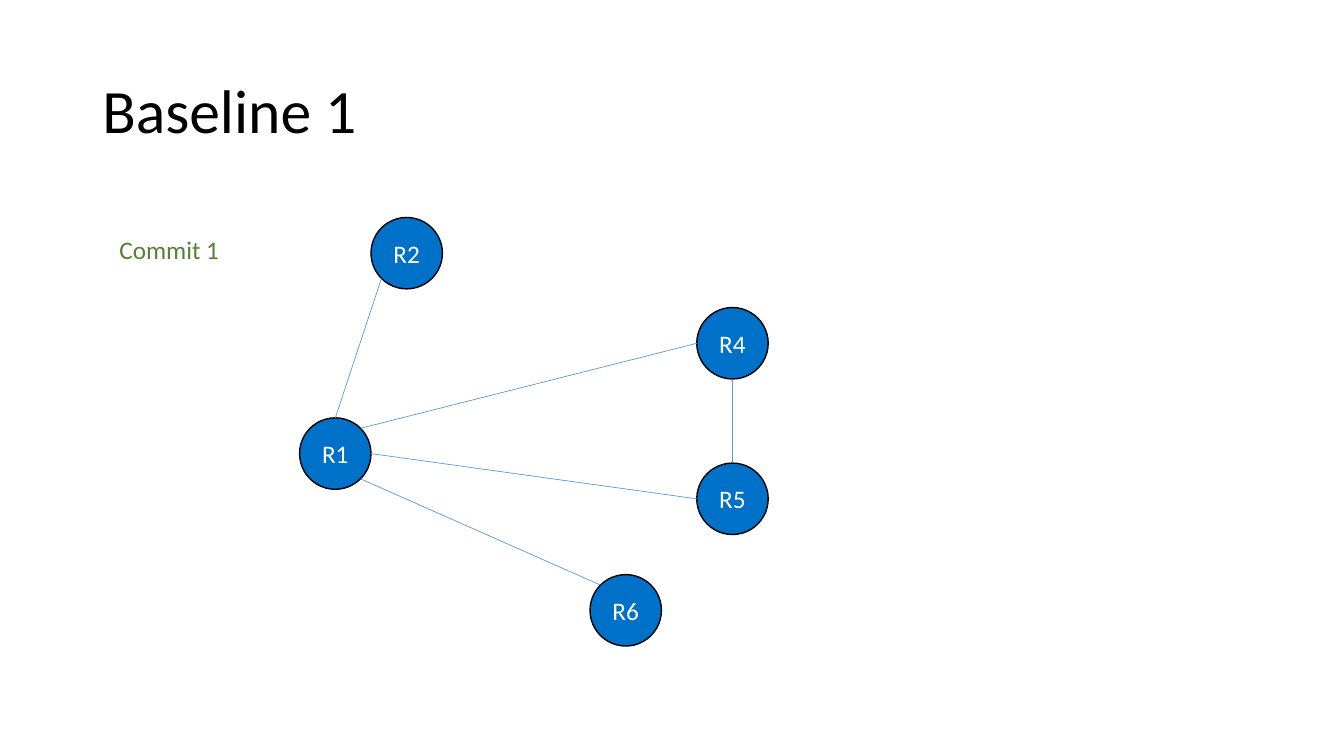
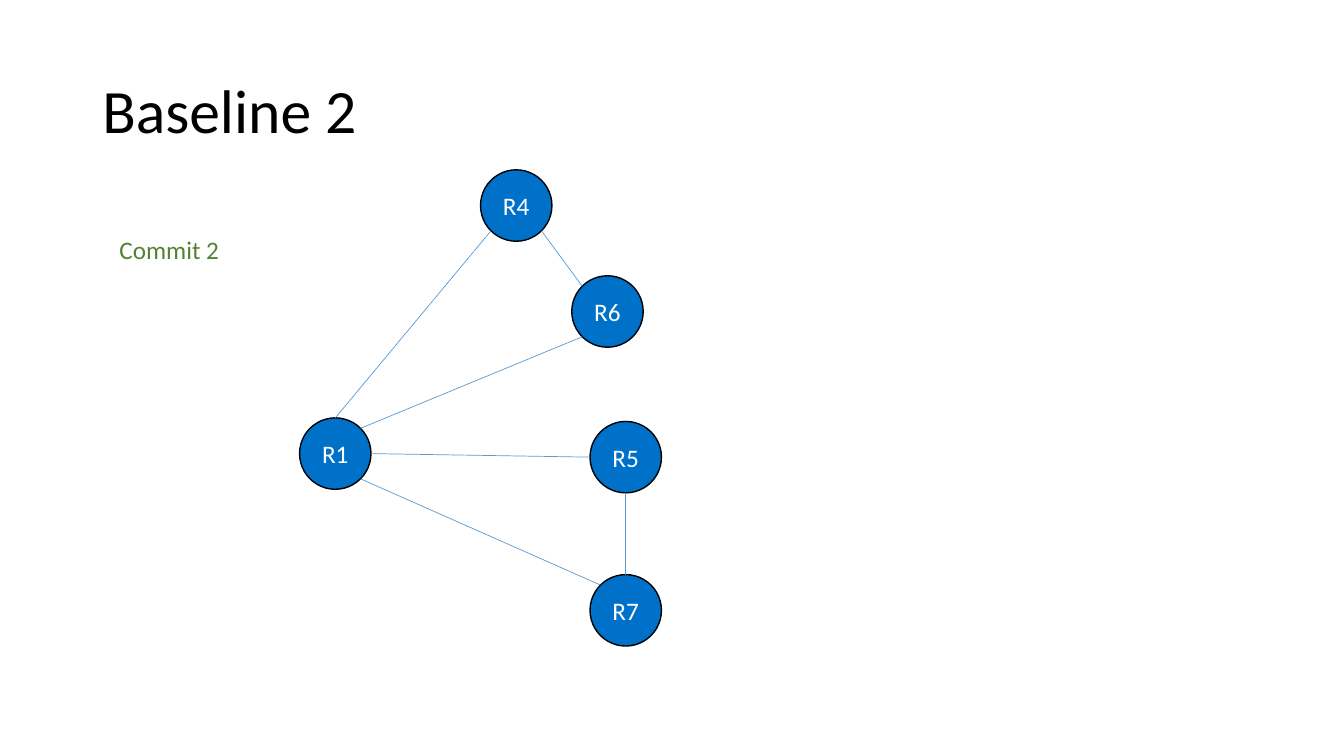
from dataclasses import dataclass
from enum import IntEnum
from math import cos, pi, sin

from lxml import etree
from pptx import Presentation
from pptx.dml.color import RGBColor
from pptx.enum import shapes, text
from pptx.oxml.ns import qn
from pptx.util import Cm, Pt


@dataclass(frozen=True)
class Theme:
    font: str = "Calibri"
    title_size: int = 44
    body_size: int = 18
    title: str = "000000"
    commit: str = "548235"
    node: str = "0071C8"
    outline: str = "000000"
    label: str = "FFFFFF"
    link: str = "5B9BD5"


class Site(IntEnum):
    """Connection sites of an ellipse, counter-clockwise from the top."""
    TOP = 0
    TOP_LEFT = 1
    LEFT = 2
    BOTTOM_LEFT = 3
    BOTTOM = 4
    BOTTOM_RIGHT = 5
    RIGHT = 6
    TOP_RIGHT = 7


THEME = Theme()
DIAMETER = 1.8

# Nodes: name -> left, top in cm. Links: node, site, node, site.
BASELINES = [
    {
        "title": "Baseline 1",
        "commit": "Commit 1",
        "nodes": {
            "R1": (7.55, 10.53), "R2": (9.35, 5.48), "R4": (17.56, 7.75),
            "R5": (17.56, 11.67), "R6": (14.87, 14.48),
        },
        "links": [
            ("R2", Site.BOTTOM_LEFT, "R1", Site.TOP),
            ("R1", Site.TOP_RIGHT, "R4", Site.LEFT),
            ("R4", Site.BOTTOM, "R5", Site.TOP),
            ("R5", Site.LEFT, "R1", Site.RIGHT),
            ("R1", Site.BOTTOM_RIGHT, "R6", Site.TOP_LEFT),
        ],
    },
    {
        "title": "Baseline 2",
        "commit": "Commit 2",
        "nodes": {
            "R1": (7.55, 10.53), "R4": (12.11, 4.28), "R6": (14.41, 6.95),
            "R5": (14.87, 10.62), "R7": (14.87, 14.48),
        },
        "links": [
            ("R1", Site.TOP, "R4", Site.BOTTOM_LEFT),
            ("R4", Site.BOTTOM_RIGHT, "R6", Site.TOP_LEFT),
            ("R6", Site.BOTTOM_LEFT, "R1", Site.TOP_RIGHT),
            ("R1", Site.RIGHT, "R5", Site.LEFT),
            ("R5", Site.BOTTOM, "R7", Site.TOP),
            ("R1", Site.BOTTOM_RIGHT, "R7", Site.TOP_LEFT),
        ],
    },
]


def rgb(value):
    return RGBColor.from_string(value)


def write(sp, content, *, color, size=THEME.body_size, align=text.PP_ALIGN.LEFT,
          anchor=text.MSO_ANCHOR.TOP, wrap=True, spacing=None):
    tf = sp.text_frame
    tf.word_wrap = wrap
    tf.vertical_anchor = anchor
    p = tf.paragraphs[0]
    p.alignment = align
    p.line_spacing = spacing
    r = p.add_run()
    r.text = content
    r.font.name = THEME.font
    r.font.size = Pt(size)
    r.font.color.rgb = rgb(color)


def add_text(s, box, content, **style):
    write(s.shapes.add_textbox(*map(Cm, box)), content, **style)


def add_node(s, name, left, top):
    sp = s.shapes.add_shape(shapes.MSO_SHAPE.OVAL, Cm(left), Cm(top),
                            Cm(DIAMETER), Cm(DIAMETER))
    sp.shadow.inherit = False
    sp.fill.solid()
    sp.fill.fore_color.rgb = rgb(THEME.node)
    sp.line.color.rgb = rgb(THEME.outline)
    sp.line.width = Pt(1)
    write(sp, name, color=THEME.label, align=text.PP_ALIGN.CENTER,
          anchor=text.MSO_ANCHOR.MIDDLE)
    return sp


def site_point(sp, site):
    angle = site * pi / 4
    radius = sp.width / 2
    return (round(sp.left + radius * (1 - sin(angle))),
            round(sp.top + radius * (1 - cos(angle))))


def add_link(s, start, start_site, end, end_site):
    """Join two ellipses; python-pptx itself only knows four sites."""
    line = s.shapes.add_connector(shapes.MSO_CONNECTOR.STRAIGHT,
                                  *site_point(start, start_site),
                                  *site_point(end, end_site))
    line.line.color.rgb = rgb(THEME.link)
    line.line.width = Pt(0.5)
    etree.SubElement(line._element.spPr, qn("a:effectLst"))
    joints = line._element.nvCxnSpPr.cNvCxnSpPr
    for tag, sp, site in (("a:stCxn", start, start_site), ("a:endCxn", end, end_site)):
        etree.SubElement(joints, qn(tag), id=str(sp.shape_id), idx=str(site.value))


def add_baseline(prs, baseline):
    s = prs.slides.add_slide(prs.slide_layouts[6])
    add_text(s, (2.33, 1.01, 29.21, 3.68), baseline["title"], color=THEME.title,
             size=THEME.title_size, anchor=text.MSO_ANCHOR.MIDDLE, spacing=0.9)
    add_text(s, (2.76, 5.77, 3.05, 1.03), baseline["commit"], color=THEME.commit,
             wrap=False)
    nodes = {name: add_node(s, name, *at) for name, at in baseline["nodes"].items()}
    for start, start_site, end, end_site in baseline["links"]:
        add_link(s, nodes[start], start_site, nodes[end], end_site)


def main():
    prs = Presentation()
    prs.slide_width, prs.slide_height = Cm(33.87), Cm(19.05)
    for baseline in BASELINES:
        add_baseline(prs, baseline)
    prs.save("out.pptx")


if __name__ == "__main__":
    main()
